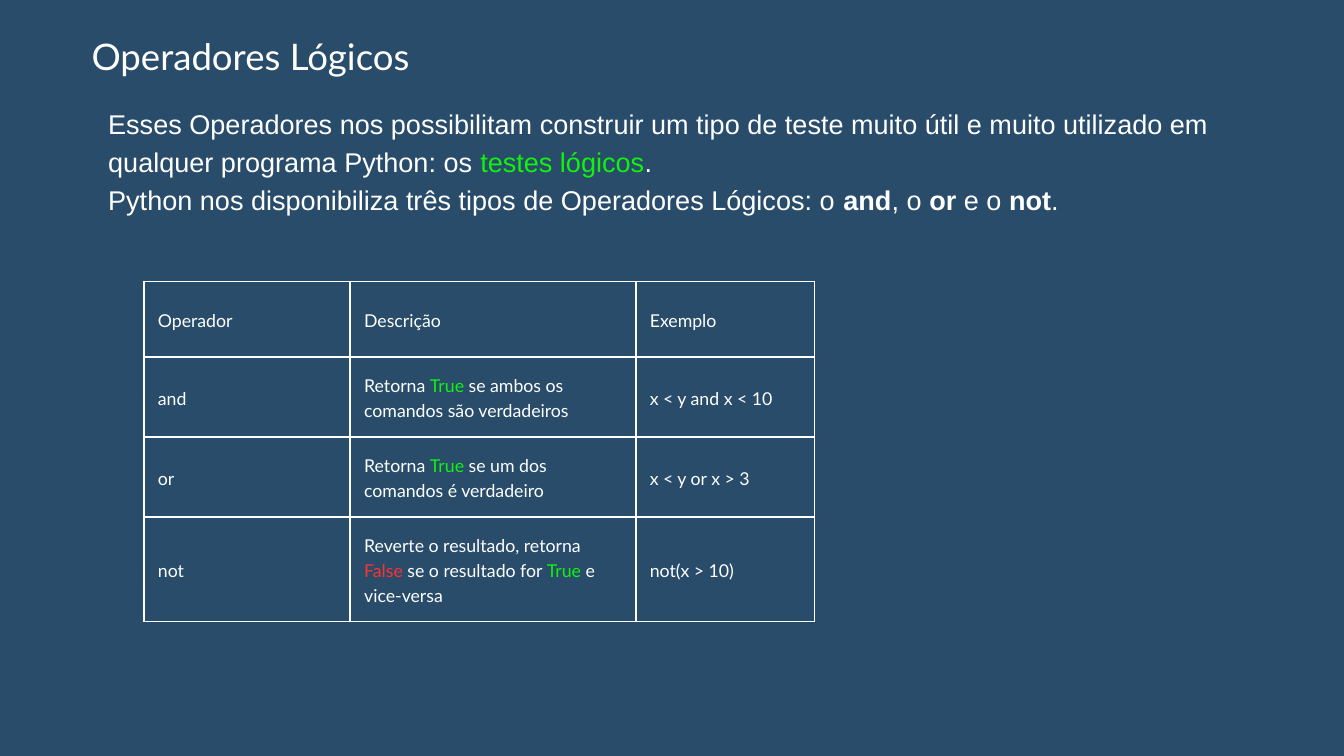
from lxml.etree import SubElement
from pptx import Presentation
from pptx.dml.color import RGBColor
from pptx.enum.text import MSO_ANCHOR as Anchor, PP_ALIGN as Align
from pptx.oxml.ns import qn
from pptx.util import Inches, Pt

NAVY = RGBColor(0x28, 0x4C, 0x6A)
WHITE = RGBColor(0xFF, 0xFF, 0xFF)
GREEN = RGBColor(0x13, 0xF1, 0x0F)
RED = RGBColor(0xFF, 0x31, 0x31)

WIDTH, HEIGHT = Inches(20), Inches(11.25)
COLUMNS, ROWS = 80, 45
MARGINS = ("margin_left", "margin_right", "margin_top", "margin_bottom")
BOLD = {"bold": True}
GREEN_TEXT = {"color": GREEN}
RED_TEXT = {"color": RED}

TITLE_FONT = {"name": "Lato", "size": Pt(39.2)}
BODY_FONT = {"name": "Arial", "size": Pt(29)}
TABLE_FONT = {"name": "Lato", "size": Pt(19)}

BODY = [
    [
        "Esses Operadores nos possibilitam construir um tipo de teste muito útil "
        "e muito utilizado em qualquer programa Python: os ",
        ("testes lógicos", GREEN_TEXT),
        ".",
    ],
    [
        "Python nos disponibiliza três tipos de Operadores Lógicos: o ",
        ("and", BOLD), ", o ", ("or", BOLD), " e o ", ("not", BOLD), ".",
    ],
]

OPERATORS = [
    [["Operador"], ["Descrição"], ["Exemplo"]],
    [
        ["and"],
        ["Retorna ", ("True ", GREEN_TEXT), "se ambos os comandos são verdadeiros"],
        ["x < y and x < 10"],
    ],
    [
        ["or"],
        ["Retorna ", ("True", GREEN_TEXT), " se um dos comandos é verdadeiro"],
        ["x < y or x > 3"],
    ],
    [
        ["not"],
        [
            "Reverte o resultado, retorna ", ("False", RED_TEXT),
            " se o resultado for ", ("True", GREEN_TEXT), " e vice-versa",
        ],
        ["not(x > 10)"],
    ],
]


def apply(target, values):
    for name, value in values.items():
        setattr(target, name, value)


class SlideBuilder:
    def __init__(self, slide, background):
        self.slide = slide
        fill = slide.background.fill
        fill.solid()
        fill.fore_color.rgb = background

    def across(self, columns):
        return round(WIDTH * columns / COLUMNS)

    def down(self, rows):
        return round(HEIGHT * rows / ROWS)

    def box(self, left, top, width, height):
        return self.across(left), self.down(top), self.across(width), self.down(height)

    def fill_frame(self, frame, paragraphs, font, spacing, alignment=Align.LEFT):
        for index, runs in enumerate(paragraphs):
            paragraph = frame.add_paragraph() if index else frame.paragraphs[0]
            apply(paragraph, {"line_spacing": Pt(spacing), "alignment": alignment})
            for item in runs:
                text, extra = (item, {}) if isinstance(item, str) else item
                values = {"bold": False, "color": WHITE, **font, **extra}
                color = values.pop("color")
                run = paragraph.add_run()
                run.text = text
                apply(run.font, values)
                run.font.color.rgb = color

    def text(self, place, paragraphs, font, spacing, alignment=Align.LEFT):
        frame = self.slide.shapes.add_textbox(*self.box(*place)).text_frame
        apply(frame, {"word_wrap": True, **dict.fromkeys(MARGINS, 0)})
        self.fill_frame(frame, paragraphs, font, spacing, alignment)

    def border(self, cell, color, width):
        properties = cell._tc.get_or_add_tcPr()
        for side in ("lnL", "lnR", "lnT", "lnB"):
            line = SubElement(properties, qn(f"a:{side}"), w=str(Pt(width)))
            fill = SubElement(line, qn("a:solidFill"))
            SubElement(fill, qn("a:srgbClr"), val=str(color))

    def table(self, left, top, widths, heights, content, font, spacing):
        place = self.box(left, top, sum(widths), sum(heights))
        table = self.slide.shapes.add_table(len(heights), len(widths), *place).table
        apply(table, {"first_row": False, "horz_banding": False})
        for column, width in zip(table.columns, widths):
            column.width = self.across(width)
        for row, height, texts in zip(table.rows, heights, content):
            row.height = self.down(height)
            for cell, runs in zip(row.cells, texts):
                margins = dict.fromkeys(MARGINS, Inches(0.21))
                apply(cell, {"vertical_anchor": Anchor.MIDDLE, **margins})
                self.border(cell, WHITE, 2.25)
                cell.fill.background()
                self.fill_frame(cell.text_frame, [runs], font, spacing)


def main():
    presentation = Presentation()
    apply(presentation, {"slide_width": WIDTH, "slide_height": HEIGHT})
    slide = presentation.slides.add_slide(presentation.slide_layouts[6])
    builder = SlideBuilder(slide, NAVY)
    builder.table(
        8.56, 16.76, (12.28, 17, 10.64), (4.48, 4.76, 4.76, 6.24),
        OPERATORS, TABLE_FONT, 26.6,
    )
    builder.text(
        (4.48, 1.6, 20.88, 2.88), [["Operadores Lógicos"]],
        TITLE_FONT, 54.9, Align.CENTER,
    )
    builder.text((6.44, 6.08, 66.4, 9.16), BODY, BODY_FONT, 40.6)
    presentation.save("out.pptx")


if __name__ == "__main__":
    main()
